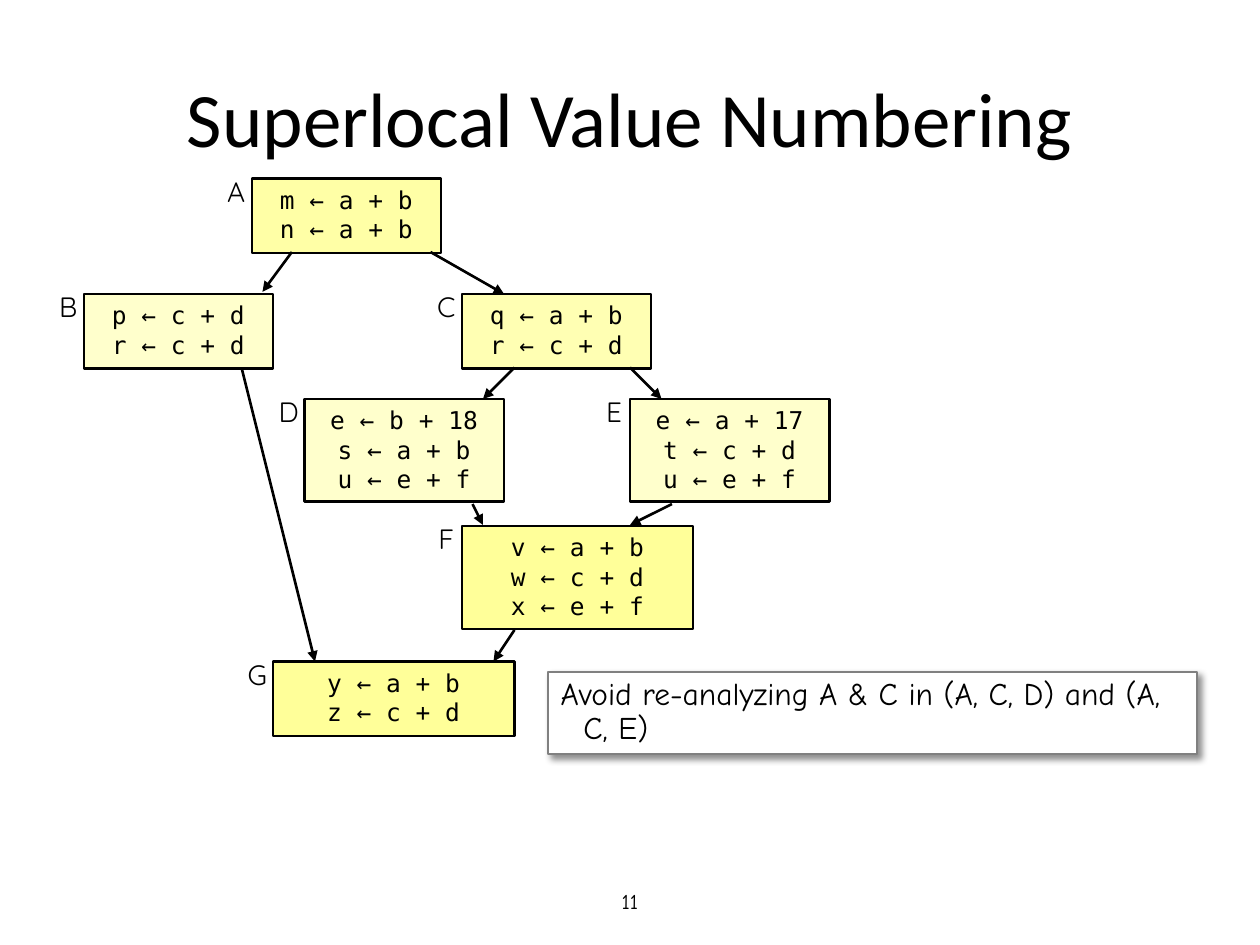
from lxml import etree
from pptx import Presentation
from pptx.dml.color import RGBColor
from pptx.enum.shapes import MSO_CONNECTOR, MSO_SHAPE
from pptx.enum.text import MSO_ANCHOR, PP_ALIGN
from pptx.oxml import parse_xml
from pptx.oxml.ns import nsdecls, qn
from pptx.util import Emu, Pt

PX = 7620  # 120 px to the inch
BLACK = "000000"

# name: (left, top, width, height, fill, statements)
BLOCKS = {
    "A": (240, 170, 180, 71, "FFFFA6", ["m ← a + b", "n ← a + b"]),
    "B": (80, 280, 180, 71, "FFFFCC", ["p ← c + d", "r ← c + d"]),
    "C": (440, 280, 180, 71, "FFFFB3", ["q ← a + b", "r ← c + d"]),
    "D": (290, 380, 190, 98, "FFFFCC", ["e ← b + 18", "s ← a + b", "u ← e + f"]),
    "E": (600, 380, 190, 98, "FFFFCC", ["e ← a + 17", "t ← c + d", "u ← e + f"]),
    "F": (440, 501, 220, 98, "FFFF99", ["v ← a + b", "w ← c + d", "x ← e + f"]),
    "G": (260, 630, 230, 71, "FFFF99", ["y ← a + b", "z ← c + d"]),
}

# (from x, from y, to x, to y)
FLOW_EDGES = [
    (278, 240, 250, 278),  # A to B
    (410, 240, 480, 280),  # A to C
    (490, 350, 460, 380),  # C to D
    (600, 350, 630, 380),  # C to E
    (230, 350, 300, 630),  # B to G
    (450, 480, 460, 500),  # D to F
    (640, 480, 600, 500),  # E to F
    (490, 600, 470, 630),  # F to G
]


def px(*lengths):
    return [Emu(length * PX) for length in lengths]


def rgb(color):
    return RGBColor.from_string(color)


def write(frame, lines, font, size, align=PP_ALIGN.CENTER, anchor=MSO_ANCHOR.TOP):
    frame.word_wrap = True
    frame.vertical_anchor = anchor
    frame.text = "\n".join(lines)
    for paragraph in frame.paragraphs:
        paragraph.alignment = align
        paragraph.font.name = font
        paragraph.font.size = Pt(size)
        paragraph.font.color.rgb = rgb(BLACK)


def add_box(slide, box, fill, line):
    rectangle = slide.shapes.add_shape(MSO_SHAPE.RECTANGLE, *px(*box))
    rectangle.shadow.inherit = False
    rectangle.fill.solid()
    rectangle.fill.fore_color.rgb = rgb(fill)
    rectangle.line.color.rgb = rgb(line)
    rectangle.line.width = Pt(1.5)
    return rectangle


def add_title(slide, box, text):
    title = slide.shapes.title
    title.left, title.top, title.width, title.height = px(*box)
    write(title.text_frame, [text], "Calibri", 44, anchor=MSO_ANCHOR.MIDDLE)


def add_block(slide, name, left, top, width, height, fill, statements):
    """Draw a basic block with its letter at the upper left."""
    block = add_box(slide, (left, top, width, height), fill, BLACK)
    write(block.text_frame, statements, "DejaVu Sans Mono", 14)
    letter = slide.shapes.add_textbox(*px(left - 40, top - 10, 50, 44))
    write(letter.text_frame, [name], "Quicksand", 16)


def add_flow_edge(slide, ends):
    edge = slide.shapes.add_connector(MSO_CONNECTOR.STRAIGHT, *px(*ends))
    edge.line.color.rgb = rgb(BLACK)
    edge.line.width = Pt(1.5)
    etree.SubElement(edge.line._get_or_add_ln(), qn("a:tailEnd"), type="triangle")
    etree.SubElement(edge._element.spPr, qn("a:effectLst"))


def add_note(slide, box, text):
    note = add_box(slide, box, "FFFFFF", "808080")
    write(note.text_frame, [text], "Comic Neue", 18, PP_ALIGN.LEFT)
    paragraph = note.text_frame.paragraphs[0]
    paragraph.line_spacing = 0.9
    indent = Pt(13)
    properties = paragraph._p.get_or_add_pPr()
    properties.set("marL", str(indent))
    properties.set("indent", str(-indent))
    shadow = parse_xml(
        f'<a:outerShdw {nsdecls("a")} blurRad="{Pt(4)}" dist="{Pt(3)}" dir="2700000" '
        'algn="tl" rotWithShape="0"><a:srgbClr val="000000"><a:alpha val="43000"/>'
        "</a:srgbClr></a:outerShdw>"
    )
    note._element.spPr.find(qn("a:effectLst")).append(shadow)


def add_page_number(slide, box, number):
    page = slide.shapes.add_textbox(*px(*box))
    write(page.text_frame, [number], "Comic Neue", 12, anchor=MSO_ANCHOR.MIDDLE)


def main():
    presentation = Presentation()
    presentation.slide_width, presentation.slide_height = px(1200, 900)
    slide = presentation.slides.add_slide(presentation.slide_layouts[5])
    add_page_number(slide, (410, 834, 380, 48), "11")
    add_title(slide, (60, 36, 1080, 150), "Superlocal Value Numbering")
    for name, block in BLOCKS.items():
        add_block(slide, name, *block)
    for ends in FLOW_EDGES:
        add_flow_edge(slide, ends)
    add_note(slide, (522, 640, 618, 78),
             "Avoid re-analyzing A & C in (A, C, D) and (A, C, E)")
    presentation.save("out.pptx")


if __name__ == "__main__":
    main()
